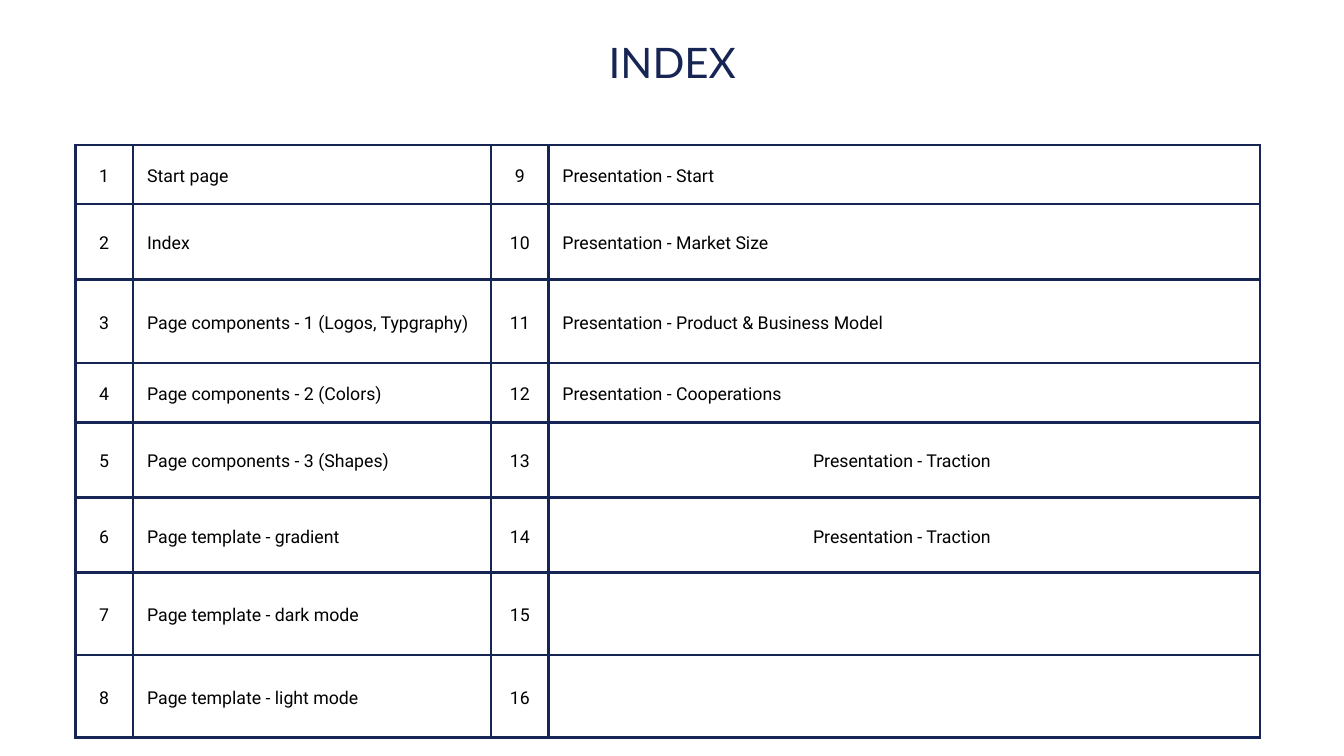
from lxml import etree
from pptx import Presentation
from pptx.dml.color import RGBColor
from pptx.enum.text import MSO_ANCHOR, MSO_AUTO_SIZE, PP_ALIGN
from pptx.oxml.ns import qn
from pptx.util import Inches, Pt

CENTER, LEFT = PP_ALIGN.CENTER, PP_ALIGN.LEFT
TOP, MIDDLE = MSO_ANCHOR.TOP, MSO_ANCHOR.MIDDLE
GROW = MSO_AUTO_SIZE.SHAPE_TO_FIT_TEXT

COLORS = {"navy": "172554", "text": "000000"}
SLIDE_WIDTH, SLIDE_HEIGHT = 20, 11.25
TITLE_BOX = (4.87, 0.6, 10.27, 0.71)
INDEX_BOX = (1.12, 2.16, 17.63, 8.82)
COLUMN_WIDTHS = (0.86, 5.33, 0.85, 10.59)
ROW_HEIGHTS = (0.88, 1.12, 1.25, 0.88, 1.12, 1.12, 1.23, 1.23)
CELL_MARGIN = 0.21
BORDER_WIDTH = 3

PAGES = [
    "Start page",
    "Index",
    "Page components - 1 (Logos, Typgraphy)",
    "Page components - 2 (Colors)",
    "Page components - 3 (Shapes)",
    "Page template - gradient",
    "Page template - dark mode",
    "Page template - light mode",
    "Presentation - Start",
    "Presentation - Market Size",
    "Presentation - Product & Business Model",
    "Presentation - Cooperations",
    "Presentation - Traction ",
    "Presentation - Traction ",
    "",
    "",
]
CENTERED_PAGES = (13, 14)


def write(paragraph, text, font_name, size, color, spacing, alignment):
    paragraph.text = text
    paragraph.alignment = alignment
    paragraph.line_spacing = Pt(spacing)
    for run in paragraph.runs:
        run.font.name = font_name
        run.font.size = Pt(size)
        run.font.color.rgb = RGBColor.from_string(COLORS[color])


def add_borders(cell):
    properties = cell._tc.get_or_add_tcPr()
    for position, side in enumerate(("a:lnL", "a:lnR", "a:lnT", "a:lnB")):
        border = etree.Element(qn(side), w=str(Pt(BORDER_WIDTH)))
        fill = etree.SubElement(border, qn("a:solidFill"))
        etree.SubElement(fill, qn("a:srgbClr"), val=COLORS["navy"])
        properties.insert(position, border)


def fill_cell(cell, text, alignment):
    cell.fill.background()
    cell.vertical_anchor = MIDDLE
    cell.margin_left = cell.margin_right = Inches(CELL_MARGIN)
    cell.margin_top = cell.margin_bottom = Inches(CELL_MARGIN)
    write(cell.text_frame.paragraphs[0], text, "Roboto", 19, "text", 26.6, alignment)
    add_borders(cell)


def place_title(slide, box):
    title = slide.shapes.title
    title.left, title.top, title.width, title.height = map(Inches, box)
    frame = title.text_frame
    frame.margin_left = frame.margin_right = 0
    frame.margin_top = frame.margin_bottom = 0
    frame.vertical_anchor = TOP
    frame.word_wrap = True
    frame.auto_size = GROW
    write(frame.paragraphs[0], "INDEX", "Lato", 45, "navy", 49.5, CENTER)


def place_index(slide, box):
    row_count = len(ROW_HEIGHTS)
    index = slide.shapes.add_table(
        row_count, len(COLUMN_WIDTHS), *map(Inches, box)
    ).table
    index.first_row = index.horz_banding = False
    for column, share in zip(index.columns, COLUMN_WIDTHS):
        column.width = Inches(box[2] * share / sum(COLUMN_WIDTHS))
    for row, share in zip(index.rows, ROW_HEIGHTS):
        row.height = Inches(box[3] * share / sum(ROW_HEIGHTS))
    for number, page in enumerate(PAGES, start=1):
        half, row = divmod(number - 1, row_count)
        alignment = CENTER if number in CENTERED_PAGES else LEFT
        fill_cell(index.cell(row, 2 * half), str(number), CENTER)
        fill_cell(index.cell(row, 2 * half + 1), page, alignment)


def main():
    deck = Presentation()
    deck.slide_width = Inches(SLIDE_WIDTH)
    deck.slide_height = Inches(SLIDE_HEIGHT)
    slide = deck.slides.add_slide(deck.slide_layouts.get_by_name("Title Only"))
    place_title(slide, TITLE_BOX)
    place_index(slide, INDEX_BOX)
    deck.save("out.pptx")


if __name__ == "__main__":
    main()
